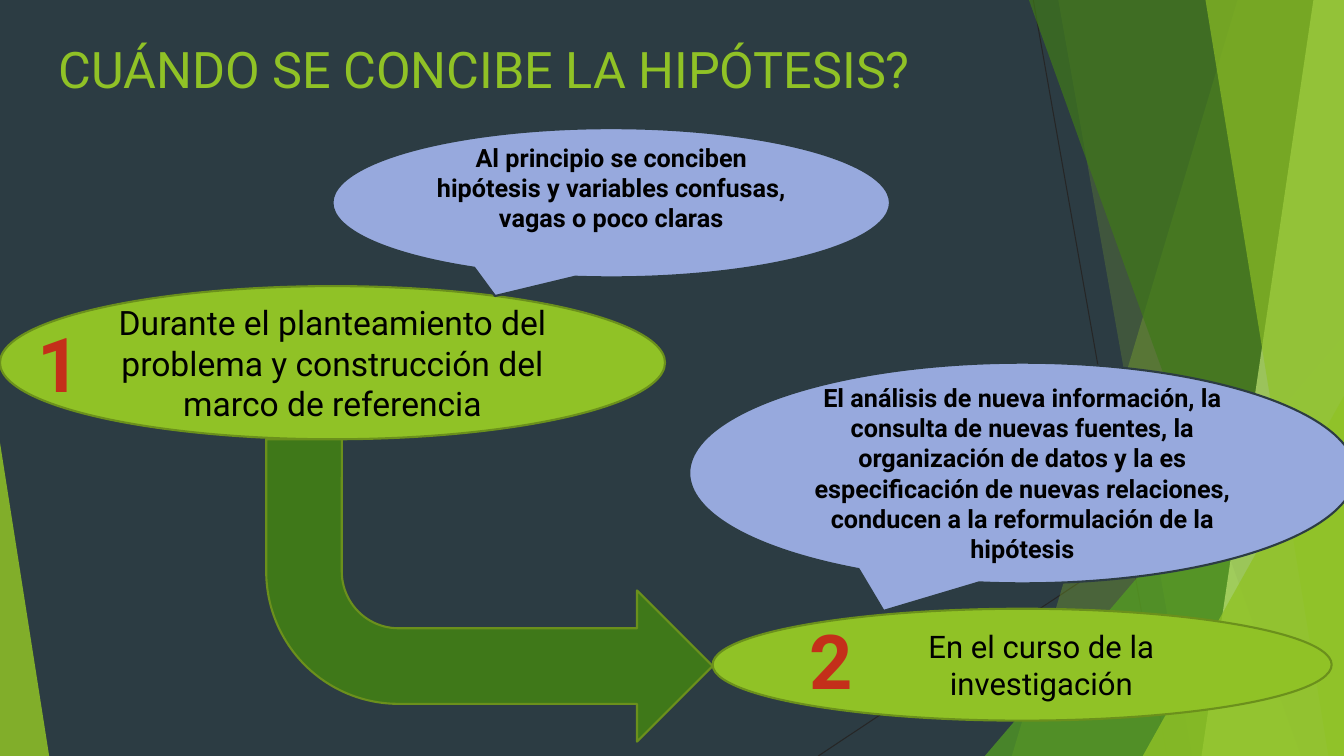
"""Build the slide on when a hypothesis is conceived."""
from dataclasses import dataclass

from lxml import etree
from pptx import Presentation
from pptx import util as u
from pptx.dml.color import RGBColor
from pptx.enum import shapes, text
from pptx.oxml import ns


@dataclass(frozen=True)
class Theme:
    font: str = "Roboto"
    night: str = "2C3C43"
    lime: str = "90C226"
    olive: str = "6B901C"
    leaf: str = "54A021"
    forest: str = "3F7819"
    pale: str = "C0E474"
    lilac: str = "97A9DD"
    red: str = "C42F1A"
    black: str = "000000"
    thread: str = "262626"
    title: float = 36
    stage: float = 24
    stage_small: float = 22.2
    remark: float = 18
    number: float = 54
    thin: float = 0.75
    outline: float = 1.5


THEME = Theme()
KIND = shapes.MSO_SHAPE
WIDTH, HEIGHT = 33.87, 19.05


def assign(target, values):
    for name, value in values.items():
        setattr(target, name, value)


class Painter:
    def __init__(self, page, theme):
        self.page, self.theme = page, theme
        page.background.fill.solid()
        page.background.fill.fore_color.rgb = RGBColor.from_string(theme.night)

    def paint(self, shape, color, opacity=100, line=None):
        shape.shadow.inherit = False
        shape.fill.solid()
        shape.fill.fore_color.rgb = RGBColor.from_string(color)
        if opacity < 100:
            tint = shape.element.spPr.find(".//" + ns.qn("a:srgbClr"))
            etree.SubElement(tint, ns.qn("a:alpha"), val=str(opacity * 1000))
        if line:
            shape.line.color.rgb = RGBColor.from_string(line)
            shape.line.width = u.Pt(self.theme.outline)
        else:
            shape.line.fill.background()
        return shape

    def label(self, shape, wording, size, color=THEME.black, bold=False,
              align=text.PP_ALIGN.CENTER, **frame_format):
        frame = shape.text_frame
        assign(frame, {"word_wrap": True, "auto_size": text.MSO_AUTO_SIZE.NONE,
                       "vertical_anchor": text.MSO_ANCHOR.MIDDLE, **frame_format})
        para = frame.paragraphs[0]
        para.alignment = align
        span = para.add_run()
        span.text = wording
        assign(span.font, {"name": self.theme.font, "size": u.Pt(size), "bold": bold})
        span.font.color.rgb = RGBColor.from_string(color)

    def title(self, wording, left, top, width, height):
        box = self.page.shapes.title
        assign(box, {"left": u.Cm(left), "top": u.Cm(top),
                     "width": u.Cm(width), "height": u.Cm(height)})
        self.label(box, wording, self.theme.title, self.theme.lime,
                   align=text.PP_ALIGN.LEFT, vertical_anchor=text.MSO_ANCHOR.TOP)

    def line(self, *ends):
        thread = self.page.shapes.add_connector(
            shapes.MSO_CONNECTOR.STRAIGHT, *map(u.Cm, ends))
        thread.line.color.rgb = RGBColor.from_string(self.theme.thread)
        thread.line.width = u.Pt(self.theme.thin)
        etree.SubElement(thread.element.spPr, ns.qn("a:effectLst"))

    def facet(self, top_left, bottom_left, color, opacity):
        outline = self.page.shapes.build_freeform(u.Cm(top_left), 0)
        corners = [(WIDTH, 0), (WIDTH, HEIGHT), (bottom_left, HEIGHT)]
        outline.add_line_segments([(u.Cm(x), u.Cm(y)) for x, y in corners])
        self.paint(outline.convert_to_shape(), color, opacity)

    def shape(self, kind, place, color, opacity=100, line=None):
        box = self.page.shapes.add_shape(kind, *map(u.Cm, place))
        return self.paint(box, color, opacity, line)

    def corner(self, left, top, width, color, opacity, apex=1):
        place = (left, top, width, HEIGHT - top)
        self.shape(KIND.ISOSCELES_TRIANGLE, place, color, opacity).adjustments[0] = apex

    def stage(self, wording, place, size, **frame_format):
        box = self.shape(KIND.OVAL, place, self.theme.lime, line=self.theme.olive)
        self.label(box, wording, size, **frame_format)

    def remark(self, wording, place, **frame_format):
        box = self.shape(KIND.OVAL_CALLOUT, place, self.theme.lilac, line=self.theme.night)
        self.label(box, wording, self.theme.remark, bold=True, **frame_format)

    def arrow(self, place):
        bend = self.shape(KIND.BENT_ARROW, place, self.theme.forest, line=self.theme.olive)
        bend.element.spPr.xfrm.set("flipV", "1")

    def number(self, digit, left, top):
        box = self.page.shapes.add_textbox(*map(u.Cm, (left, top, 1.65, 2.57)))
        self.label(box, digit, self.theme.number, self.theme.red, bold=True,
                   word_wrap=False, vertical_anchor=text.MSO_ANCHOR.TOP)


deck = Presentation()
assign(deck, {"slide_width": u.Cm(WIDTH), "slide_height": u.Cm(HEIGHT)})
painter = Painter(deck.slides.add_slide(deck.slide_layouts[5]), THEME)

painter.line(26.04, 0, 29.41, HEIGHT)
painter.line(WIDTH, 10.24, 20.62, HEIGHT)
painter.facet(31.19, 25.5, THEME.lime, 30)
painter.facet(26.67, 30.05, THEME.lime, 20)
painter.corner(24.82, 8.46, 9.05, THEME.leaf, 72)
painter.facet(25.93, 32.79, THEME.forest, 70)
painter.facet(33.1, 30.28, THEME.pale, 70)
painter.facet(30.38, 33.48, THEME.lime, 65)
painter.corner(28.8, 9.98, 5.07, THEME.lime, 80)
painter.corner(0, 11.15, 1.24, THEME.lime, 85, apex=0)

painter.title("CUÁNDO SE CONCIBE LA HIPÓTESIS?", 1.22, 0.84, 23.88, 3.66)
painter.stage("Durante el planteamiento del problema y construcción del marco de referencia",
              (0, 7.21, 16.76, 3.86), THEME.stage)
painter.stage("En el curso de la investigación", (17.96, 15.34, 15.6, 2.82),
              THEME.stage_small, margin_left=u.Cm(1.22))
painter.remark("Al principio se conciben hipótesis y variables confusas, vagas o poco claras",
               (8.38, 3.23, 14.05, 3.76), margin_bottom=u.Cm(0.89))
painter.remark("El análisis de nueva información, la consulta de nuevas fuentes, la "
               "organización de datos y la es especificación de nuevas relaciones, "
               "conducen a la reformulación de la hipótesis", (17.37, 9.14, 16.79, 5.56))
painter.arrow((6.71, 11.07, 11.25, 7.62))
painter.number("1", 0.66, 7.85)
painter.number("2", 20.12, 15.34)

deck.save("out.pptx")
